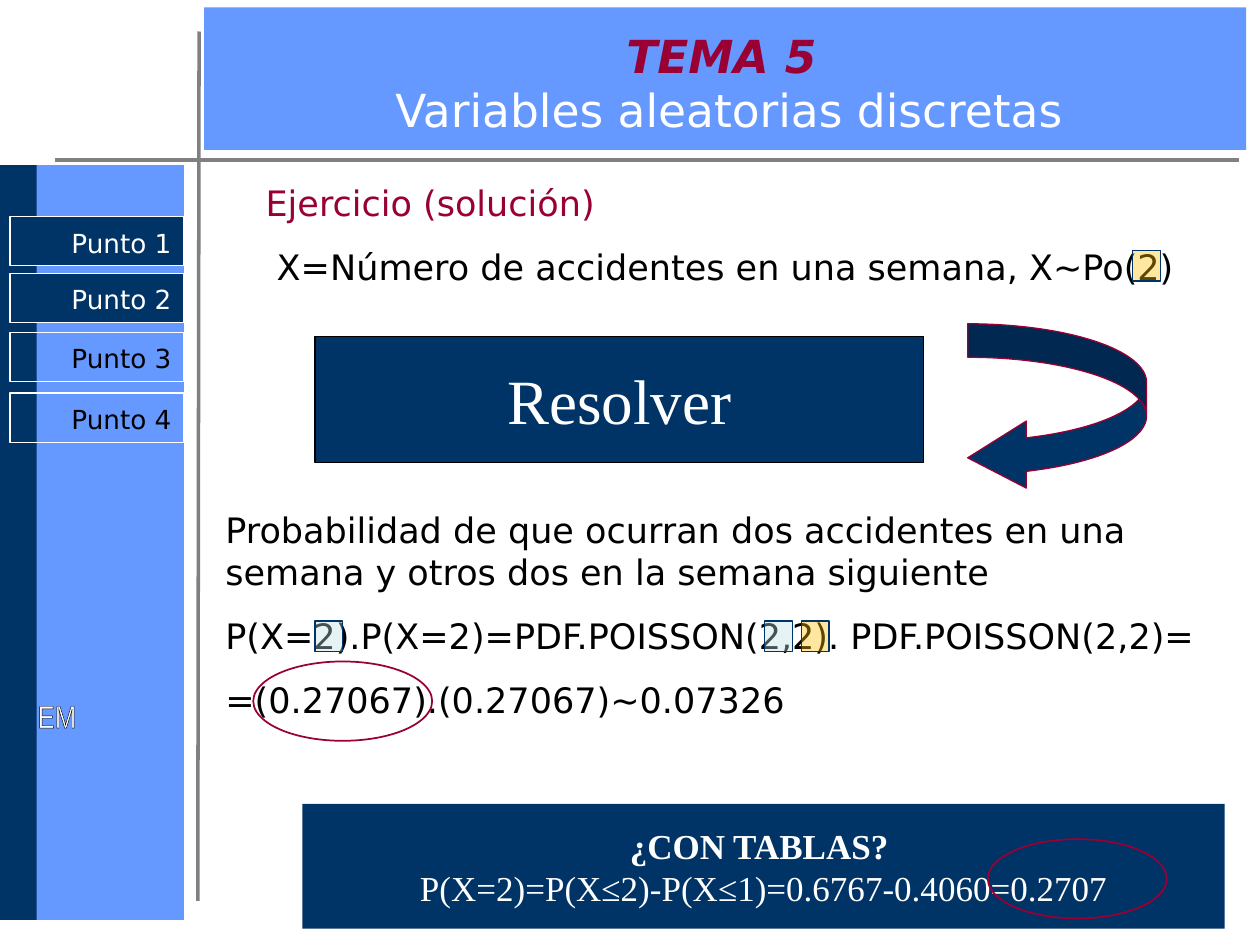
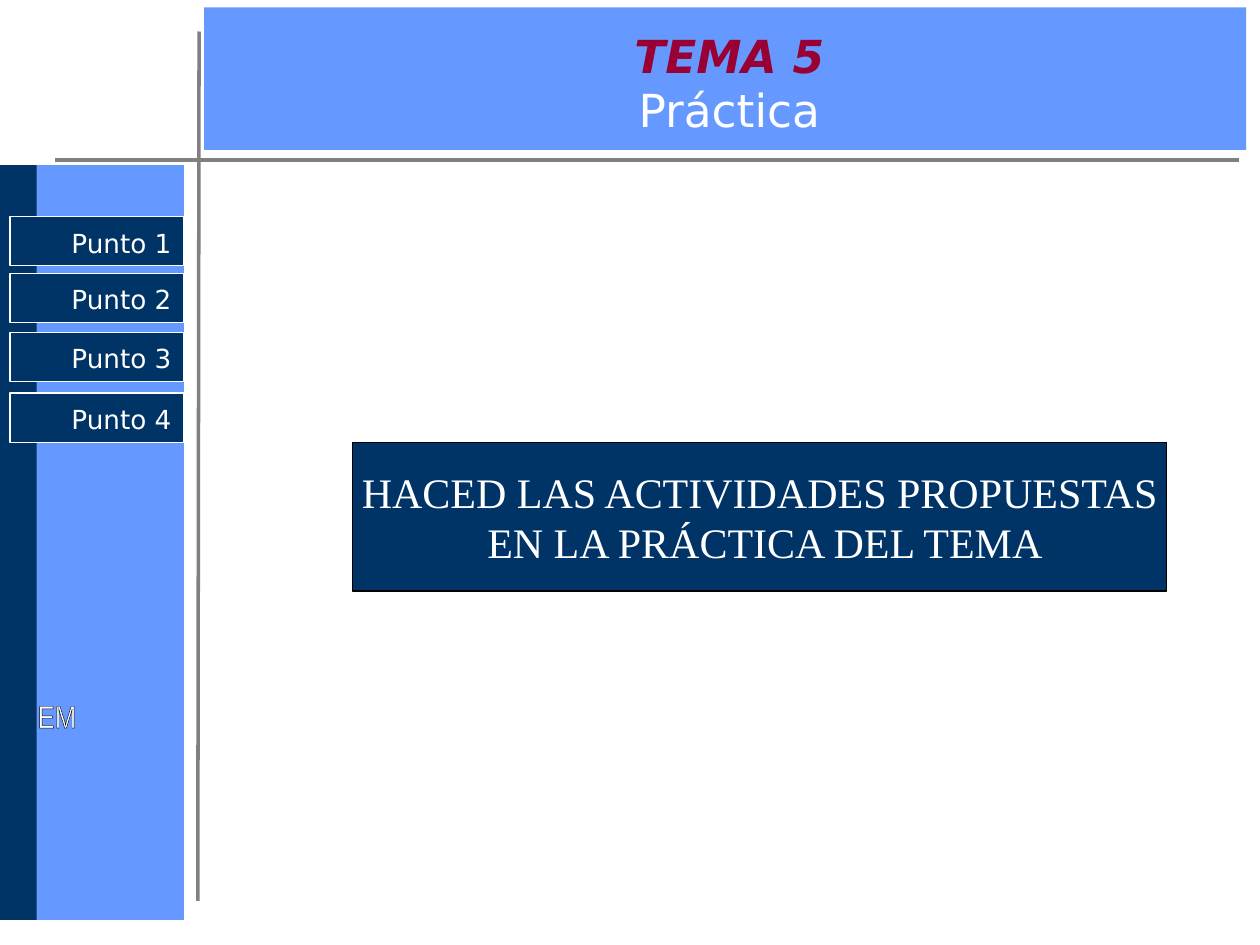
"""Build two slides of a statistics lesson on discrete random variables."""
from dataclasses import dataclass
from typing import Optional

from lxml import etree
from pptx import Presentation
from pptx.dml.color import RGBColor
from pptx.enum.shapes import MSO_CONNECTOR, MSO_SHAPE
from pptx.enum.text import MSO_ANCHOR, PP_ALIGN
from pptx.oxml import parse_xml
from pptx.oxml.ns import nsdecls, qn
from pptx.util import Pt

RECT, OVAL, ARROW = MSO_SHAPE.RECTANGLE, MSO_SHAPE.OVAL, MSO_SHAPE.CURVED_LEFT_ARROW
STRAIGHT = MSO_CONNECTOR.STRAIGHT
LEFT, CENTER, RIGHT = PP_ALIGN.LEFT, PP_ALIGN.CENTER, PP_ALIGN.RIGHT
TOP, MIDDLE = MSO_ANCHOR.TOP, MSO_ANCHOR.MIDDLE

PX = 9144
SANS, SERIF, NARROW = "DejaVu Sans", "Times New Roman", "Arial Narrow"
COLORS = {
    "blue": "6699FF",
    "navy": "003366",
    "crimson": "990033",
    "gray": "808080",
    "mid_gray": "707070",
    "white": "FFFFFF",
    "black": "000000",
    "teal": "BBE0E3",
    "gold": "FFC000",
}
BUTTON_TOPS = (172, 217, 264, 312)


@dataclass(frozen=True)
class Box:
    """Place and paint of a shape, in px and points."""
    x: int
    y: int
    w: int
    h: int
    fill: Optional[str] = None
    line: Optional[str] = None
    weight: float = 0.75
    kind: MSO_SHAPE = RECT
    alpha: Optional[int] = None


@dataclass(frozen=True)
class Para:
    """One paragraph with a single look."""
    text: str
    color: str = "white"
    bold: bool = False
    before: float = 0


@dataclass(frozen=True)
class Style:
    """Type settings of a text frame."""
    font: str
    size: int
    align: PP_ALIGN = LEFT
    anchor: MSO_ANCHOR = TOP
    wrap: bool = True
    top: int = 5


BODY = Style(SANS, 20)
BUTTON = Style(SANS, 15, RIGHT, top=8)
TITLE = Style(SANS, 26, CENTER, MIDDLE)
SIGNATURE = Style(NARROW, 18, wrap=False)

BANDS = (
    Box(27, 131, 119, 599, "blue"),
    Box(0, 131, 29, 599, "navy"),
    Box(162, 6, 827, 113, "blue"),
)
RULES = ((44, 127, 983, 127), (157, 715, 158, 25))
MARKS = (
    *(Box(x, y, 142, 63, line="crimson", weight=1, kind=OVAL)
      for x, y in ((201, 525), (784, 666))),
    *(Box(x, y, 22, 24, color, "navy", alpha=37)
      for x, y, color in ((250, 493, "teal"), (607, 493, "teal"),
                          (636, 493, "gold"), (899, 199, "gold"))),
)


def rgb(name: str) -> RGBColor:
    """Return the named colour."""
    return RGBColor.from_string(COLORS[name])


def add_box(slide, box: Box):
    """Draw a preset shape."""
    sp = slide.shapes.add_shape(box.kind, box.x * PX, box.y * PX, box.w * PX, box.h * PX)
    sp.shadow.inherit = False
    if box.fill:
        sp.fill.solid()
        sp.fill.fore_color.rgb = rgb(box.fill)
    else:
        sp.fill.background()
    if box.alpha:
        color = sp.fill._xPr.find(qn("a:solidFill"))[0]
        etree.SubElement(color, qn("a:alpha")).set("val", str(box.alpha * 1000))
    if box.line:
        sp.line.color.rgb = rgb(box.line)
        sp.line.width = Pt(box.weight)
    else:
        sp.line.fill.background()
    return sp


def add_textbox(slide, x: int, y: int, w: int, h: int):
    """Add an empty text box."""
    return slide.shapes.add_textbox(x * PX, y * PX, w * PX, h * PX)


def set_frame(sp, style: Style):
    """Apply the frame settings and return the text frame."""
    tf = sp.text_frame
    tf.word_wrap = style.wrap
    tf.vertical_anchor = style.anchor
    tf.margin_left = tf.margin_right = 10 * PX
    tf.margin_top, tf.margin_bottom = style.top * PX, 5 * PX
    return tf


def set_paragraph(p, style: Style) -> None:
    """Apply the typeface, size and alignment."""
    p.alignment = style.align
    p.font.name, p.font.size = style.font, Pt(style.size)


def write(sp, style: Style, *paras: Para) -> None:
    """Fill a shape with paragraphs."""
    tf = set_frame(sp, style)
    for i, para in enumerate(paras):
        p = tf.add_paragraph() if i else tf.paragraphs[0]
        p.text = para.text
        set_paragraph(p, style)
        p.font.color.rgb = rgb(para.color)
        p.font.bold = para.bold
        if para.before:
            p.space_before = Pt(para.before)


def add_rule(slide, x1: int, y1: int, x2: int, y2: int) -> None:
    """Draw a gray rule."""
    line = slide.shapes.add_connector(STRAIGHT, x1 * PX, y1 * PX, x2 * PX, y2 * PX)
    line.line.color.rgb = rgb("gray")
    line.line.width = Pt(2)
    etree.SubElement(line._element.spPr, qn("a:effectLst"))


def add_signature(slide) -> None:
    """Write the outlined initials in the side band."""
    sp = add_textbox(slide, 20, 548, 183, 182)
    write(sp, SIGNATURE, Para("EM"))
    r = sp.text_frame.paragraphs[0].runs[0]
    stops = "".join(
        f'<a:gs pos="{pos * 1000}"><a:srgbClr val="{COLORS[color]}"/></a:gs>'
        for pos, color in ((0, "mid_gray"), (50, "white"), (100, "mid_gray")))
    rPr = r._r.get_or_add_rPr()
    rPr.append(parse_xml(
        f'<a:ln {nsdecls("a")} w="9525"><a:solidFill>'
        f'<a:srgbClr val="{COLORS["black"]}"/></a:solidFill></a:ln>'))
    rPr.append(parse_xml(
        f'<a:gradFill {nsdecls("a")}><a:gsLst>{stops}</a:gsLst>'
        '<a:lin ang="2700000" scaled="1"/></a:gradFill>'))


def add_title(slide, topic: str, subtitle: str) -> None:
    """Write the two-line title in the top band."""
    p = set_frame(add_textbox(slide, 171, 27, 816, 77), TITLE).paragraphs[0]
    set_paragraph(p, TITLE)
    r = p.add_run()
    r.text = topic
    r.font.bold = r.font.italic = True
    r.font.color.rgb = rgb("crimson")
    p.add_line_break()
    r = p.add_run()
    r.text = subtitle
    r.font.color.rgb = rgb("white")


def add_base(prs, topic: str, subtitle: str, filled: int):
    """Add a slide with bands, rules, title and the first buttons filled."""
    slide = prs.slides.add_slide(prs.slide_layouts[6])
    for band in BANDS:
        add_box(slide, band)
    for rule in RULES:
        add_rule(slide, *rule)
    add_signature(slide)
    add_title(slide, topic, subtitle)
    for i, y in enumerate(BUTTON_TOPS):
        fill, color = ("navy", "white") if i < filled else (None, "black")
        sp = add_box(slide, Box(8, y, 138, 39, fill, "white"))
        write(sp, BUTTON, Para(f"Punto {i + 1}", color))
    return slide


def add_panel(slide, box: Box, size: int, *paras: Para) -> None:
    """Draw a panel with centred serif text."""
    write(add_box(slide, box), Style(SERIF, size, CENTER, MIDDLE, False), *paras)


def build_exercise(prs) -> None:
    """Build the solved exercise."""
    slide = add_base(prs, "TEMA 5 ", "Variables aleatorias discretas", 2)
    add_panel(slide, Box(250, 267, 483, 100, "navy", "black"), 36, Para("Resolver"))
    write(add_textbox(slide, 169, 399, 831, 289), BODY,
          Para("Probabilidad de que ocurran dos accidentes en una semana "
               "y otros dos en la semana siguiente", "black"),
          Para("P(X=2).P(X=2)=PDF.POISSON(2,2). PDF.POISSON(2,2)=", "black", before=12.5),
          Para("=(0.27067).(0.27067)~0.07326", "black", before=12.5))
    arrow = add_box(slide, Box(768, 257, 142, 133, "navy", "crimson", kind=ARROW))
    for i, value in enumerate((0.2, 0.4, 0.35)):
        arrow.adjustments[i] = value
    write(add_textbox(slide, 201, 139, 757, 145), BODY,
          Para("Ejercicio (solución)", "crimson"),
          Para(" X=Número de accidentes en una semana, X~Po(2)", "black", before=12.5))
    add_panel(slide, Box(240, 638, 732, 99, "navy"), 20,
              Para("¿CON TABLAS? ", bold=True),
              Para("P(X=2)=P(X≤2)-P(X≤1)=0.6767-0.4060=0.2707"))
    for mark in MARKS:
        add_box(slide, mark)


def build_practice(prs) -> None:
    """Build the call to practice."""
    slide = add_base(prs, "TEMA 5", "Práctica", 4)
    add_panel(slide, Box(280, 351, 646, 118, "navy", "black"), 24,
              Para("HACED LAS ACTIVIDADES PROPUESTAS"),
              Para(" EN LA PRÁCTICA DEL TEMA"))


def main() -> None:
    """Build and save the presentation."""
    prs = Presentation()
    prs.slide_width, prs.slide_height = 1000 * PX, 750 * PX
    build_exercise(prs)
    build_practice(prs)
    prs.save("out.pptx")


if __name__ == "__main__":
    main()
